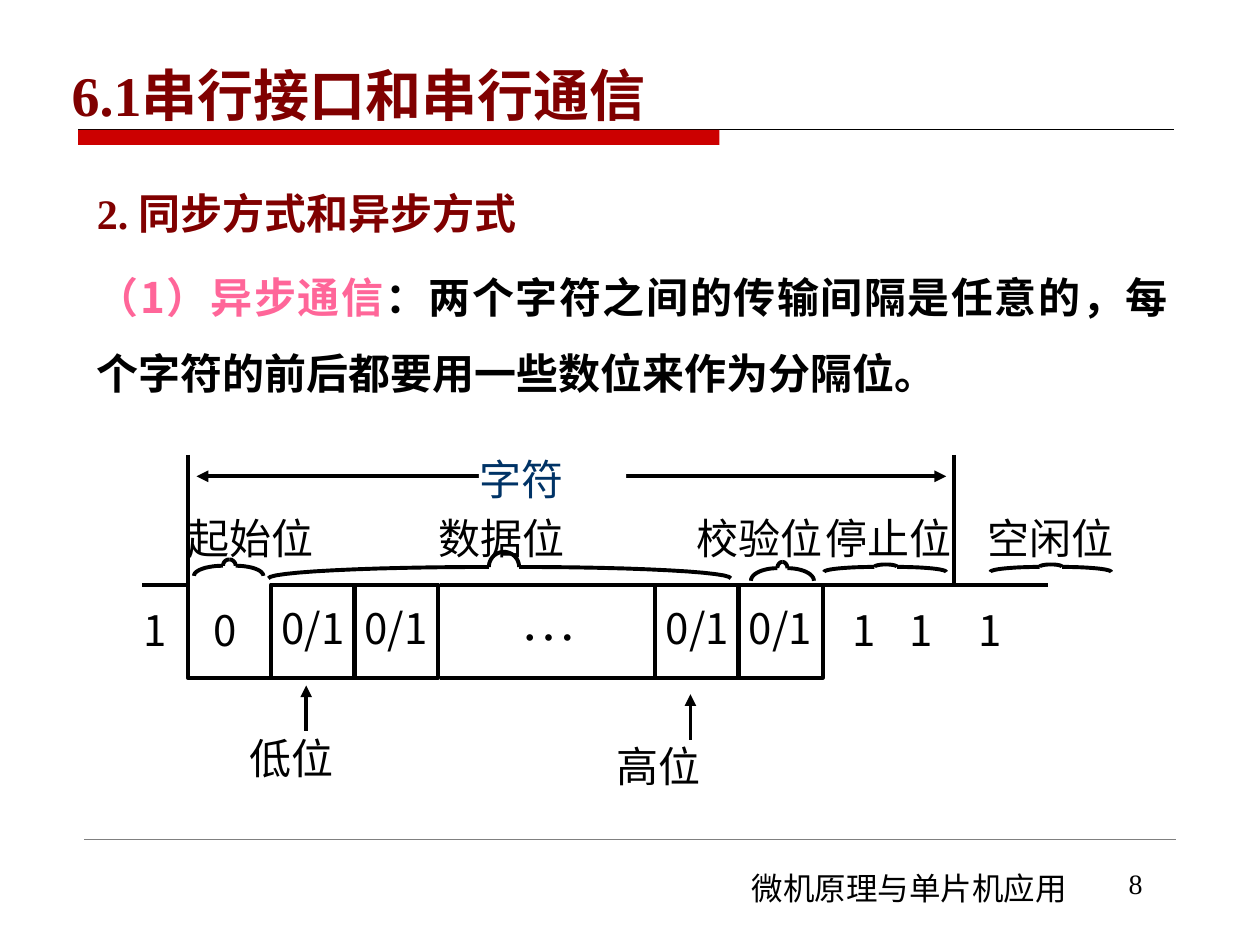
from math import cos, pi, sin
from pptx import Presentation
from pptx.dml.color import RGBColor as RGB
from pptx.enum.shapes import MSO_CONNECTOR as LINK, MSO_SHAPE as FORM
from pptx.enum.text import MSO_ANCHOR as ANCHOR, PP_ALIGN as ALIGN
from pptx.oxml.ns import qn
from pptx.util import Inches, Pt
from lxml.etree import SubElement as Sub

INK = {"black": "000000", "red": "CC0000", "maroon": "800000",
       "pink": "FF6699", "navy": "003366", "white": "FFFFFF", "gray": "808080"}
SANS, SERIF = "Noto Sans CJK SC", "Times New Roman"
TOP, BASE, CELL = 4.64, 5.38, 0.67


def color(name):
    return RGB.from_string(INK[name])


def style(font, size, face=SANS, ink="black", bold=False):
    font.size, font.name, font.bold = Pt(size), face, bold
    font.color.rgb = color(ink)
    Sub(font._element, qn("a:ea"), typeface=SANS)


def fill_text(shape, text, size=24, face=SANS, ink="black", bold=False,
              inset=0.01, wrap=True, align=ALIGN.LEFT, anchor=ANCHOR.TOP):
    frame = shape.text_frame
    frame.word_wrap, frame.vertical_anchor = wrap, anchor
    frame.margin_left = frame.margin_right = Inches(inset)
    frame.margin_top = frame.margin_bottom = Inches(min(inset, 0.05))
    para = frame.paragraphs[0]
    para.text, para.alignment = text, align
    style(para.font, size, face, ink, bold)
    return para


def add_text(slide, text, x, y, w, h, **look):
    box = slide.shapes.add_textbox(Inches(x), Inches(y), Inches(w), Inches(h))
    return fill_text(box, text, **look)


def add_rect(slide, x, y, w, h, fill=None, edge=False):
    rect = slide.shapes.add_shape(FORM.RECTANGLE, Inches(x), Inches(y),
                                  Inches(w), Inches(h))
    rect.shadow.inherit = False
    if fill:
        rect.fill.solid()
        rect.fill.fore_color.rgb = color(fill)
    else:
        rect.fill.background()
    if edge:
        rect.line.color.rgb, rect.line.width = color("black"), Pt(2.25)
    else:
        rect.line.fill.background()
    return rect


def add_line(slide, x1, y1, x2, y2, ink="black", width=2.25, ends=()):
    line = slide.shapes.add_connector(LINK.STRAIGHT, Inches(x1), Inches(y1),
                                      Inches(x2), Inches(y2))
    line.line.color.rgb, line.line.width = color(ink), Pt(width)
    for end in ends:
        Sub(line.line._get_or_add_ln(), qn("a:" + end), type="triangle")
    Sub(line._element.spPr, qn("a:effectLst"))


def add_path(slide, points):
    spots = [(Inches(x), Inches(y)) for x, y in points]
    pen = slide.shapes.build_freeform(*spots[0])
    pen.add_line_segments(spots[1:], close=False)
    shape = pen.convert_to_shape()
    shape.shadow.inherit = False
    shape.fill.background()
    shape.line.color.rgb, shape.line.width = color("black"), Pt(2.25)


def add_arc(slide, x1, y1, x2, y2, steps=12):
    turns = [pi / 2 * i / steps for i in range(steps + 1)]
    add_path(slide, [(x1 + (x2 - x1) * sin(t), y2 + (y1 - y2) * cos(t))
                     for t in turns])


def add_brace(slide, left, mid, right, knob, top, neck, foot):
    for side, end in ((-1, left), (1, right)):
        add_arc(slide, mid + side * knob, neck, end, foot)
        add_arc(slide, mid, top, mid + side * knob, neck)


def add_frame(slide):
    add_text(slide, "微机原理与单片机应用", 5.87, 6.85, 2.76, 0.4, size=18, inset=0.1)
    add_text(slide, "8", 8.86, 6.83, 0.79, 0.52, size=16, face=SERIF, inset=0.1)
    add_line(slide, 0.62, 1.03, 9.32, 1.03, width=0.75)
    add_rect(slide, 0.62, 1.03, 5.09, 0.12, fill="red")
    add_line(slide, 0.67, 6.66, 9.33, 6.66, "gray", 0.25)
    add_text(slide, "6.1串行接口和串行通信", 0.47, 0.47, 9, 0.55, size=32,
             face=SERIF, ink="maroon", bold=True, inset=0.1, anchor=ANCHOR.MIDDLE)


def add_body(slide):
    head = add_text(slide, "2. 同步方式和异步方式", 0.67, 1.24, 8.7, 5.16,
                    face=SERIF, ink="maroon", bold=True, inset=0.1)
    para = head._parent.add_paragraph()
    para.alignment = ALIGN.JUSTIFY
    for text, ink in (("（1）异步通信", "pink"),
                      ("：两个字符之间的传输间隔是任意的，每个字符的前后都要用一些数位来作为分隔位。", "black")):
        run = para.add_run()
        run.text = text
        style(run.font, 24, ink=ink, bold=True)
    for item in (head, para):
        item.line_spacing, item.space_before = 1.5, Pt(4.8)


def add_labels(slide):
    for text, x, y in (("起始位", 1.48, 4.06), ("校验位", 5.52, 4.06),
                       ("停止位", 6.54, 4.06), ("空闲位", 7.83, 4.06),
                       ("数据位", 3.47, 4.06), ("低位", 1.97, 5.8),
                       ("高位", 4.88, 5.87)):
        add_text(slide, text, x, y, 1.17, 0.35)
    for brace in ((1.54, 1.82, 2.09, 0.05, 4.44, 4.49, 4.57),
                  (5.96, 6.21, 6.46, 0.04, 4.46, 4.51, 4.61),
                  (6.54, 7.03, 7.51, 0.09, 4.48, 4.5, 4.54),
                  (2.13, 4, 5.8, 0.12, 4.38, 4.5, 4.59),
                  (7.86, 8.34, 8.82, 0.09, 4.48, 4.5, 4.54)):
        add_brace(slide, *brace)
    for x, y in ((2.43, 5.8), (5.48, 5.87)):
        add_line(slide, x, y, x, y - 0.36, ends=["tailEnd"])


def add_bits(slide):
    for x in (1.49, 7.57):
        add_line(slide, x, 3.61, x, TOP)
    add_line(slide, 1.56, 3.78, 7.51, 3.78, ends=["headEnd", "tailEnd"])
    fill_text(add_rect(slide, 3.8, 3.59, 1.17, 0.35, fill="white"),
              "字符", ink="navy")
    for x in (2.15, 2.81, 5.2, 5.86):
        cell = add_rect(slide, x, TOP, CELL, BASE - TOP, edge=True)
        fill_text(cell, "0/1", inset=0.1, wrap=False, align=ALIGN.CENTER,
                  anchor=ANCHOR.MIDDLE).line_spacing = 0.9
    add_path(slide, [(1.13, TOP), (1.49, TOP), (1.49, BASE), (2.16, BASE)])
    for x1, x2, y in ((6.53, 8.32, TOP), (3.49, 5.2, TOP), (3.49, 5.2, BASE)):
        add_line(slide, x1, y, x2, y)
    for bit, x in (("1", 6.67), ("0", 1.6), ("1", 1.04), ("1", 7.12), ("1", 7.67)):
        add_text(slide, bit, x, 4.75, 0.37, 0.5, inset=0.1, wrap=False,
                 align=ALIGN.CENTER)
    add_text(slide, "…", 4.03, 4.59, 0.65, 0.63, size=32, face=SERIF,
             inset=0.1, wrap=False, align=ALIGN.CENTER)


def main():
    deck = Presentation()
    deck.slide_width, deck.slide_height = Inches(10), Inches(7.5)
    slide = deck.slides.add_slide(deck.slide_layouts[6])
    add_frame(slide)
    add_body(slide)
    add_labels(slide)
    add_bits(slide)
    deck.save("out.pptx")


if __name__ == "__main__":
    main()
